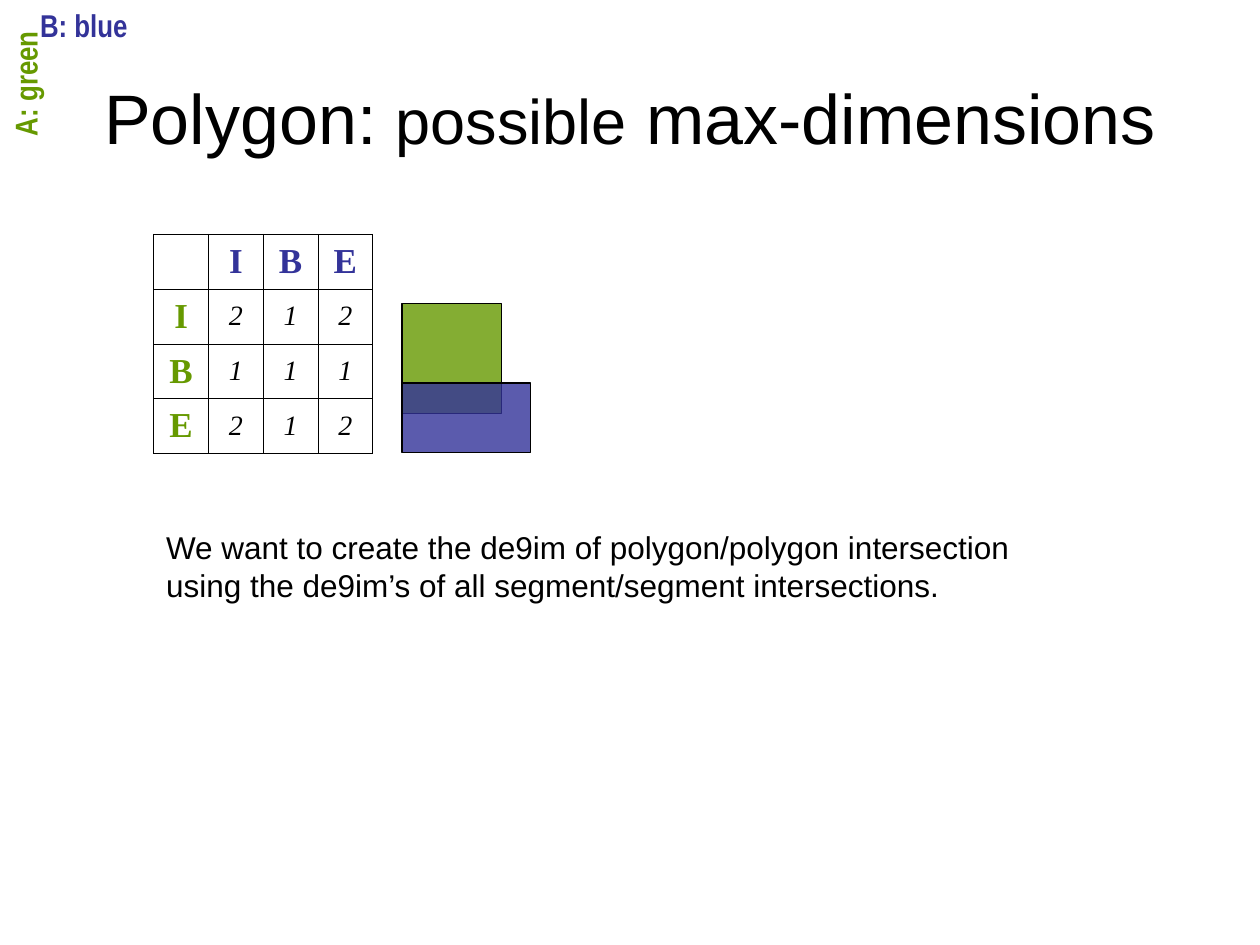
from lxml.etree import SubElement
from pptx import Presentation
from pptx.dml.color import RGBColor
from pptx.enum.shapes import MSO_SHAPE
from pptx.enum.text import MSO_ANCHOR, PP_ALIGN
from pptx.oxml.ns import qn
from pptx.util import Inches, Pt

GREEN, BLUE, BLACK = "669900", "333399", "000000"
LEFT = 1.22           # shared left edge of the matrix and the remark
CELL = 0.435          # side of one matrix cell
PARTS = "IBE"         # interior, boundary, exterior
DIMENSIONS = ["212", "111", "212"]


def color(hex_code):
    return RGBColor.from_string(hex_code)


def style(font, size, name="Arial", hex_code=BLACK, bold=False, italic=False):
    font.size, font.name = Pt(size), name
    font.bold, font.italic = bold, italic
    font.color.rgb = color(hex_code)


def set_title(slide):
    title = slide.shapes.title
    title.left, title.top, title.width, title.height = map(Inches, (0.5, 0.3, 9, 1.25))
    title.text_frame.vertical_anchor = MSO_ANCHOR.MIDDLE
    heading = title.text_frame.paragraphs[0]
    heading.alignment = PP_ALIGN.CENTER
    style(heading.font, 40)
    for words, size in (("Polygon: ", 40), ("possible", 36), (" max-dimensions", 40)):
        run = heading.add_run()
        run.text = words
        run.font.size = Pt(size)


def add_text(slide, lines, box, wrap=True, align=PP_ALIGN.LEFT, before=0, **look):
    holder = slide.shapes.add_textbox(*map(Inches, box))
    frame = holder.text_frame
    frame.word_wrap = wrap
    frame.text = "\n".join(lines)
    for paragraph in frame.paragraphs:
        paragraph.alignment = align
        paragraph.space_before = Pt(before)
        style(paragraph.font, 18, **look)
    return holder


def add_borders(cell):
    properties = cell._tc.get_or_add_tcPr()
    for position, side in enumerate(("a:lnL", "a:lnR", "a:lnT", "a:lnB")):
        line = properties.makeelement(qn(side), {"w": str(Pt(0.45))})
        fill = SubElement(line, qn("a:solidFill"))
        SubElement(fill, qn("a:srgbClr"), val=BLACK)
        properties.insert(position, line)


def add_matrix(slide):
    rows = [" " + PARTS] + [part + values for part, values in zip(PARTS, DIMENSIONS)]
    side = Inches(CELL * len(rows))
    matrix = slide.shapes.add_table(
        len(rows), len(rows), Inches(LEFT), Inches(1.86), side, side).table
    matrix.first_row = matrix.horz_banding = False
    for r, row in enumerate(rows):
        for c, entry in enumerate(row):
            cell = matrix.cell(r, c)
            cell.fill.background()
            add_borders(cell)
            cell.vertical_anchor = MSO_ANCHOR.MIDDLE
            cell.text = entry.strip()
            paragraph = cell.text_frame.paragraphs[0]
            paragraph.alignment = PP_ALIGN.CENTER
            header = r == 0 or c == 0
            paragraph.space_before = Pt(5 if header else 4)
            hex_code = BLUE if r == 0 else GREEN if c == 0 else BLACK
            style(paragraph.font, 20 if header else 16, "Times New Roman",
                  hex_code, bold=header, italic=not header)


def add_polygon(slide, box, hex_code):
    polygon = slide.shapes.add_shape(MSO_SHAPE.RECTANGLE, *map(Inches, box))
    polygon.shadow.inherit = False
    polygon.fill.solid()
    polygon.fill.fore_color.rgb = color(hex_code)
    tint = polygon._element.spPr.find(qn("a:solidFill"))[0]
    SubElement(tint, qn("a:alpha"), val="80000")
    polygon.line.color.rgb = color(BLACK)
    polygon.line.width = Pt(0.75)


def main():
    prs = Presentation()
    prs.slide_width, prs.slide_height = Inches(10), Inches(7.5)
    slide = prs.slides.add_slide(prs.slide_layouts[5])

    # Axis labels: A down the side, B along the top
    label = {"name": "Arial Narrow", "bold": True, "before": 11.2}
    label_a = add_text(slide, ["A: green"], (-0.47, 0.62, 1.34, 0.4),
                       align=PP_ALIGN.RIGHT, hex_code=GREEN, **label)
    label_a.rotation = 270
    add_text(slide, ["B: blue"], (0.22, 0, 1.34, 0.4), hex_code=BLUE, **label)

    # Intersection matrix and title
    add_matrix(slide)
    set_title(slide)

    # Overlapping polygons
    add_polygon(slide, (3.19, 2.41, 0.79, 0.87), GREEN)
    add_polygon(slide, (3.19, 3.04, 1.02, 0.55), BLUE)

    # Remark
    add_text(slide, ["We want to create the de9im of polygon/polygon intersection",
                     "using the de9im’s of all segment/segment intersections."],
             (LEFT, 4.14, 6.9, 0.7), wrap=False)

    prs.save("out.pptx")


if __name__ == "__main__":
    main()
